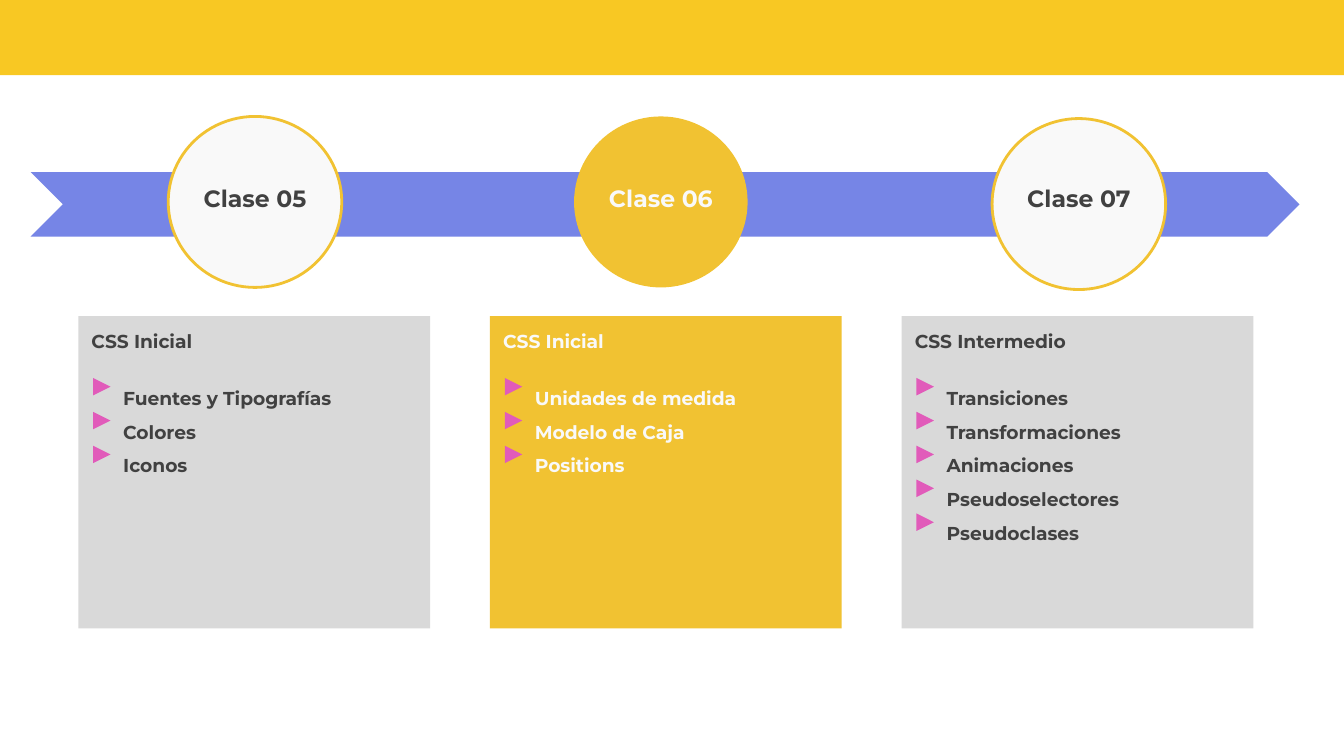
from pptx import Presentation
from pptx.dml.color import RGBColor
from pptx.enum.shapes import MSO_SHAPE
from pptx.enum.text import MSO_ANCHOR, MSO_AUTO_SIZE, PP_ALIGN
from pptx.util import Cm, Pt

WHITE = RGBColor(0xF9, 0xF9, 0xF9)
DARK = RGBColor(0x41, 0x41, 0x41)
GRAY = RGBColor(0xD9, 0xD9, 0xD9)
GOLD = RGBColor(0xF1, 0xC2, 0x32)
YELLOW = RGBColor(0xF8, 0xC8, 0x23)
BLUE = RGBColor(0x76, 0x85, 0xE6)
PINK = RGBColor(0xE1, 0x5B, 0xBA)

deck = Presentation()
deck.slide_width, deck.slide_height = Cm(25.4), Cm(14.28)
slide = deck.slides.add_slide(deck.slide_layouts[5])
shapes = slide.shapes


def draw(kind, left, top, width, height, color):
    shape = shapes.add_shape(kind, Cm(left), Cm(top), Cm(width), Cm(height))
    shape.shadow.inherit = False
    shape.fill.solid()
    shape.fill.fore_color.rgb = color
    shape.line.fill.background()
    return shape


def write(box, lines, size, color, align):
    frame = box.text_frame
    frame.word_wrap = True
    frame.auto_size = MSO_AUTO_SIZE.NONE
    frame.vertical_anchor = MSO_ANCHOR.TOP
    frame.margin_left = frame.margin_right = Cm(0.25)
    frame.margin_top = frame.margin_bottom = Cm(0.25)
    frame.text = "\n".join(lines)
    for par in frame.paragraphs:
        par.alignment = align
        par.font.name = "Montserrat"
        par.font.size = Pt(size)
        par.font.bold = True
        par.font.color.rgb = color
    return frame.paragraphs


draw(MSO_SHAPE.RECTANGLE, 0, 0, 25.4, 1.42, YELLOW)
draw(MSO_SHAPE.CHEVRON, 0.58, 3.25, 23.98, 1.22, BLUE)

lessons = [
    ("Clase 05", 3.18, 2.2, "CSS Inicial",
     ["Fuentes y Tipografías", "Colores", "Iconos"]),
    ("Clase 06", 10.85, 2.2, "CSS Inicial",
     ["Unidades de medida", "Modelo de Caja", "Positions"]),
    ("Clase 07", 18.75, 2.24, "CSS Intermedio",
     ["Transiciones", "Transformaciones", "Animaciones",
      "Pseudoselectores", "Pseudoclases"]),
]

for col, (name, left, top, head, topics) in enumerate(lessons):
    now = name == "Clase 06"
    ink = WHITE if now else DARK

    disc = draw(MSO_SHAPE.OVAL, left, top, 3.28, 3.23, GOLD if now else WHITE)
    if now:
        label = shapes.title
        shapes._spTree.append(label._element)
    else:
        disc.line.color.rgb = GOLD
        disc.line.width = Pt(1.5)
        label = shapes.add_textbox(0, 0, 0, 0)
    label.left, label.top = Cm(left + 0.24), Cm(3.23)
    label.width, label.height = Cm(2.8), Cm(0.84)
    write(label, [name], 12.6, ink, PP_ALIGN.CENTER)

    edge = 1.48 + 7.78 * col
    draw(MSO_SHAPE.RECTANGLE, edge, 5.97, 6.65, 5.9, GOLD if now else GRAY)
    box = shapes.add_textbox(Cm(edge), Cm(5.99), Cm(6.65), Cm(5.89))
    first, *rest = write(box, [head, *topics], 10, ink, PP_ALIGN.LEFT)
    first.space_after = Pt(12.2)
    for row, par in enumerate(rest):
        par.line_spacing = 1.5
        par._p.get_or_add_pPr().set("marL", str(Cm(0.6)))
        mark = draw(MSO_SHAPE.ISOSCELES_TRIANGLE,
                    edge + 0.28, 7.14 + 0.64 * row, 0.33, 0.33, PINK)
        mark.rotation = 90

deck.save("out.pptx")
